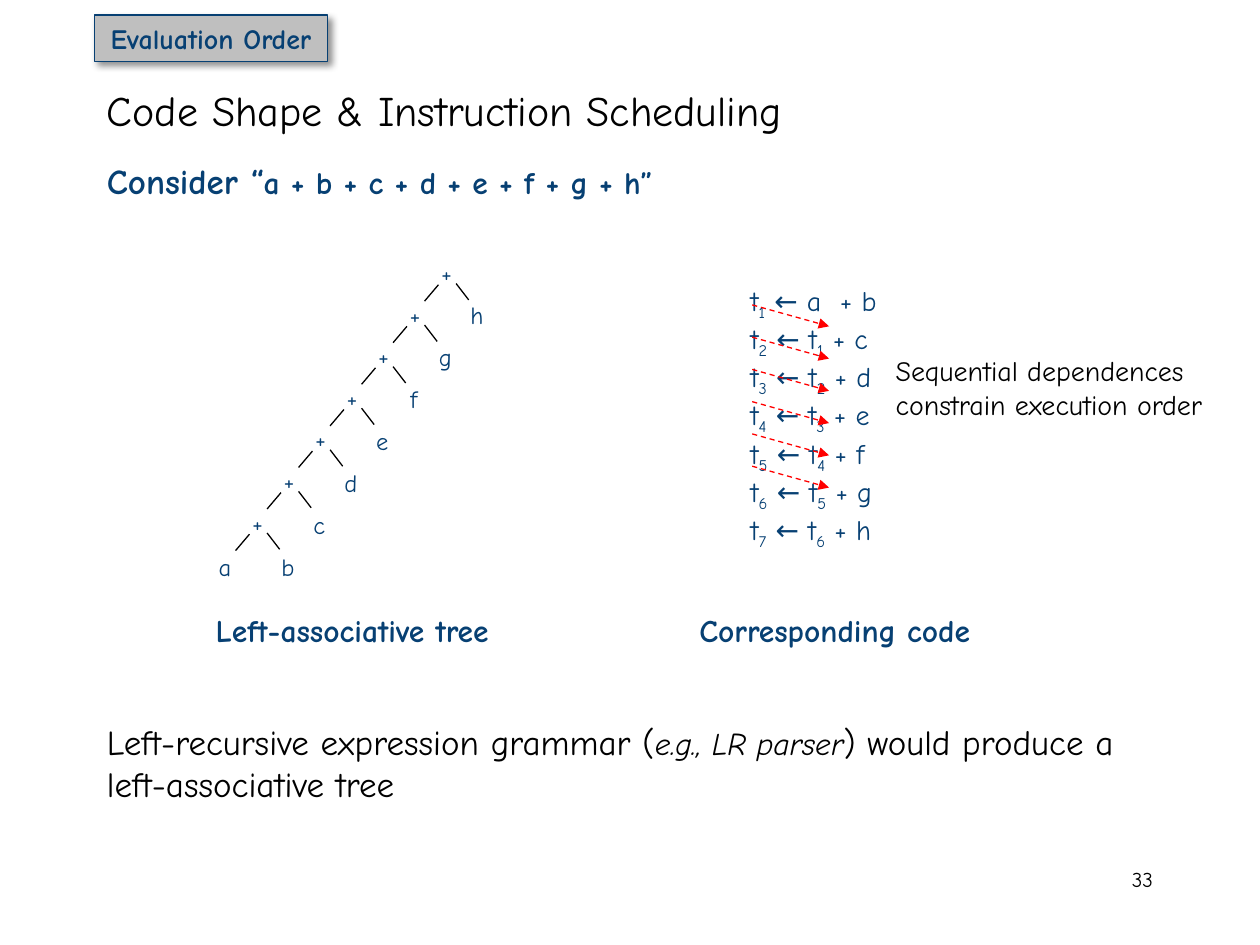
"""Build a slide on code shape and instruction scheduling for a left-associative sum."""
from dataclasses import dataclass

from lxml import etree
from pptx import Presentation
from pptx.dml.color import RGBColor
from pptx.enum import dml, shapes, text
from pptx.oxml import ns
from pptx.util import Inches, Pt


@dataclass(frozen=True)
class Theme:
    font: str = "Comic Neue"
    ink: str = "000000"
    navy: str = "074073"
    red: str = "FF0000"
    gray: str = "BFBFBF"
    title: int = 24
    body: int = 20
    label: int = 18
    code: int = 16
    node: int = 14
    number: int = 12
    line: float = 0.75


T = Theme()
LEFT, CENTER, RIGHT = text.PP_ALIGN.LEFT, text.PP_ALIGN.CENTER, text.PP_ALIGN.RIGHT
OPERANDS = "abcdefgh"
LEVELS = len(OPERANDS) - 1
STEP_X, STEP_Y = 0.25, 0.33


def rgb(color):
    return RGBColor.from_string(color)


def write(p, content, size, color=T.ink, bold=False, align=LEFT):
    if content:
        p.text = content
    p.alignment = align
    font = p.font
    font.name, font.size, font.bold = T.font, Pt(size), bold
    font.color.rgb = rgb(color)


def add_run(p, content, size=None, italic=None, subscript=False):
    r = p.add_run()
    r.text = content
    if size:
        r.font.size = Pt(size)
    if italic:
        r.font.italic = True
    if subscript:
        r.font._element.set("baseline", "-25000")


def add_text(parent, box, content, size, color=T.ink, bold=False, align=LEFT, grow=True):
    sp = parent.add_textbox(*map(Inches, box))
    tf = sp.text_frame
    tf.word_wrap = True
    tf.auto_size = text.MSO_AUTO_SIZE.SHAPE_TO_FIT_TEXT if grow else text.MSO_AUTO_SIZE.NONE
    write(tf.paragraphs[0], content, size, color, bold, align)
    return tf


def add_line(parent, x, y, dx, dy, color=T.ink):
    ends = map(Inches, (x, y, x + dx, y + dy))
    line = parent.add_connector(shapes.MSO_CONNECTOR.STRAIGHT, *ends)
    line.line.color.rgb = rgb(color)
    line.line.width = Pt(T.line)
    etree.SubElement(line._element.spPr, ns.qn("a:effectLst"))
    return line


def add_arrow(parent, x, y, dx, dy):
    arrow = add_line(parent, x, y, dx, dy, T.red)
    arrow.line.dash_style = dml.MSO_LINE.DASH
    etree.SubElement(arrow.line._get_or_add_ln(), ns.qn("a:tailEnd"), type="triangle")


def add_badge(parent, box, content):
    sp = parent.add_shape(shapes.MSO_SHAPE.RECTANGLE, *map(Inches, box))
    sp.shadow.inherit = False
    sp.fill.solid()
    sp.fill.fore_color.rgb = rgb(T.gray)
    sp.line.color.rgb = rgb(T.navy)
    sp.line.width = Pt(T.line)
    effects = sp._element.spPr.find(ns.qn("a:effectLst"))
    shadow = etree.SubElement(effects, ns.qn("a:outerShdw"), blurRad=str(Pt(4)),
                              dist=str(Pt(3)), dir="2700000", algn="tl", rotWithShape="0")
    color = etree.SubElement(shadow, ns.qn("a:srgbClr"), val=T.ink)
    etree.SubElement(color, ns.qn("a:alpha"), val="43000")
    write(sp.text_frame.paragraphs[0], content, T.code, T.navy, True, CENTER)


def add_node(parent, x, y, symbol):
    add_text(parent, (x, y, 0.33, 0.34), symbol, T.node, T.navy, align=CENTER)


def add_caption(parent, x, content):
    add_text(parent, (x, 4.8, 2.75, 0.4), content, T.label, T.navy, True, CENTER)


def add_tree(s):
    tree = s.shapes.add_group_shape().shapes
    for level, operand in enumerate(reversed(OPERANDS[1:])):
        dx, dy = level * STEP_X, level * STEP_Y
        add_node(tree, 3.38 - dx, 2 + dy, "+")
        add_node(tree, 3.62 - dx, 2.33 + level / 3, operand)
        add_line(tree, 3.62 - dx, 2.25 + dy, 0.1, 0.13)
        add_line(tree, 3.48 - dx, 2.26 + dy, -0.11, 0.13)
    add_node(tree, 1.62, 4.33, OPERANDS[0])
    add_caption(tree, 1.42, "Left-associative tree")


def add_code(s):
    code = s.shapes.add_group_shape().shapes
    tf = add_text(code, (5.86, 2.2, 1.83, 1.99), "", T.code, T.navy)
    for n, operand in enumerate(OPERANDS[1:], 1):
        p = tf.paragraphs[0] if n == 1 else tf.add_paragraph()
        write(p, "", T.code, T.navy)
        add_run(p, "t")
        add_run(p, str(n), subscript=True)
        if n == 1:
            add_run(p, f" ← {OPERANDS[0]}  + {operand}")
        else:
            add_run(p, " ← t")
            add_run(p, str(n - 1), subscript=True)
            add_run(p, f" + {operand}")
    add_caption(code, 5.25, "Corresponding code")


def add_dependences(s):
    notes = s.shapes.add_group_shape().shapes
    add_text(notes, (7.01, 2.76, 2.65, 0.64),
             "Sequential dependences constrain execution order", T.code)
    first, last = 2.42, 3.7
    gaps = LEVELS - 2
    for i in range(gaps + 1):
        add_arrow(notes, 5.97, first + i * (last - first) / gaps, 0.61, 0.17)


def main():
    prs = Presentation()
    prs.slide_width, prs.slide_height = Inches(10), Inches(7.5)
    s = prs.slides.add_slide(prs.slide_layouts[6])

    title = add_text(s.shapes, (0.75, 0.58, 8.5, 0.58),
                     "Code Shape & Instruction Scheduling", T.title, grow=False)
    title.vertical_anchor = text.MSO_ANCHOR.MIDDLE
    add_text(s.shapes, (7.17, 6.83, 2.08, 0.5), "33", T.number, align=RIGHT, grow=False)

    consider = add_text(s.shapes, (0.75, 1.22, 6.5, 0.44), "", T.body, T.navy, True)
    add_run(consider.paragraphs[0], "Consider “")
    add_run(consider.paragraphs[0], " + ".join(OPERANDS) + "”", T.label)

    grammar = add_text(s.shapes, (0.75, 5.67, 8.55, 0.77), "", T.body)
    add_run(grammar.paragraphs[0], "Left-recursive expression grammar (")
    add_run(grammar.paragraphs[0], "e.g., LR parser", T.label, italic=True)
    add_run(grammar.paragraphs[0], ") would produce a left-associative tree")

    add_tree(s)
    add_code(s)
    add_dependences(s)
    add_badge(s.shapes, (0.75, 0.12, 1.85, 0.37), "Evaluation Order")
    prs.save("out.pptx")


if __name__ == "__main__":
    main()
